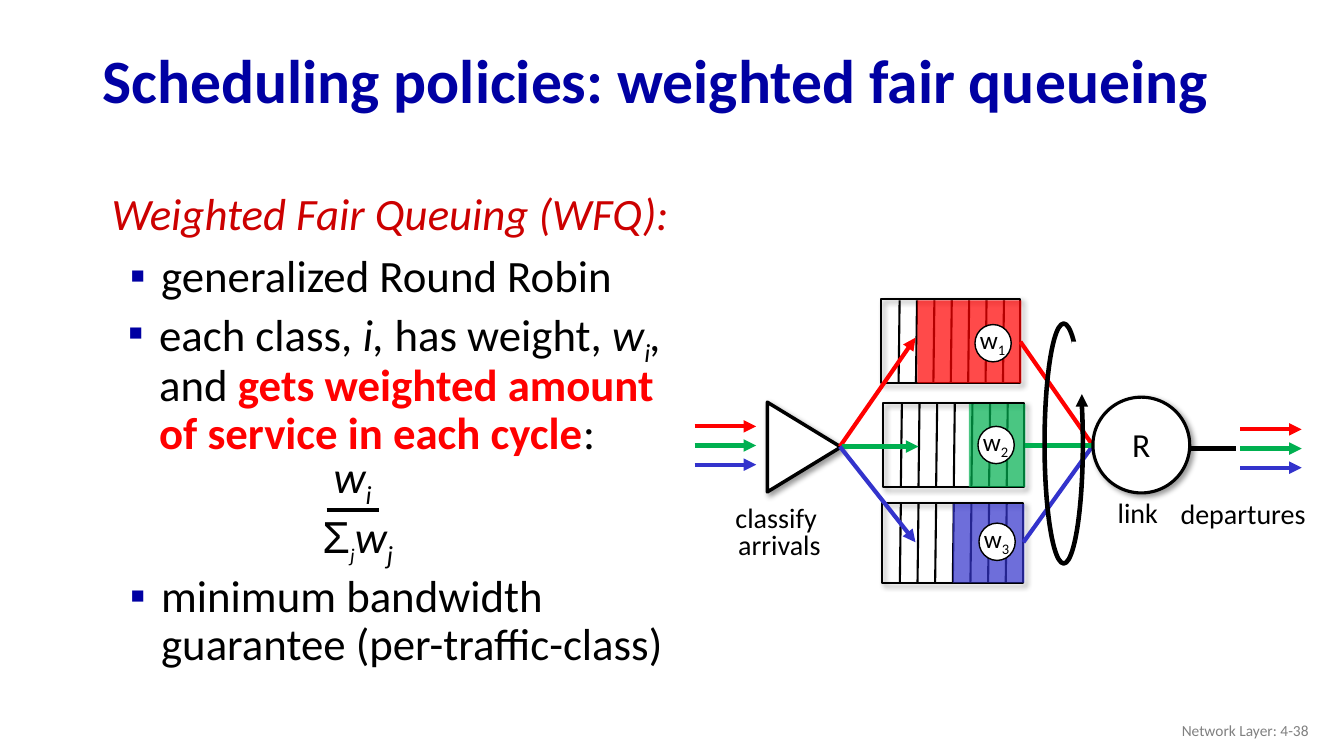
import pptx
import pptx.util
import pptx.dml.color
import pptx.enum.shapes
import pptx.enum.text
import pptx.oxml
import pptx.oxml.ns

Inches, Pt = pptx.util.Inches, pptx.util.Pt
KIND = pptx.enum.shapes.MSO_SHAPE
ALIGN = pptx.enum.text.PP_ALIGN
MID = pptx.enum.text.MSO_ANCHOR.MIDDLE

HUE = {
    "black": "000000", "white": "FFFFFF", "navy": "0000A3", "crimson": "CC0000",
    "gray": "808080", "red": "FF0000", "green": "00B050", "blue": "3333CC",
}
ITAL = {"italic": True}
SUB = {"italic": True, "base": -25000}
LOUD = {"bold": True, "hue": "red"}

TITLE = [[("Scheduling policies: weighted fair queueing", {"bold": True, "hue": "navy"})]]
FOOT = [[("Network Layer: 4-38", {"hue": "gray"})]]
HEAD = [("Weighted Fair Queuing (WFQ):", {"italic": True, "hue": "crimson"})]
ROBIN = [("generalized Round Robin", {})]
SHARE = [
    ("each class, ", {}), ("i, ", ITAL), ("has weight, ", {}), ("w", ITAL), ("i", SUB),
    (", ", ITAL), ("and ", {}), ("gets weighted amount of service in each cycle", LOUD), (":", {}),
]
BAND = [("minimum bandwidth guarantee (per-traffic-class)", {})]
UPPER = [[("w", ITAL), ("i", SUB)]]
LOWER = [[("Σ", {"name": "Arial"}), ("j", {**SUB, "size": Pt(24)}), ("w", ITAL), ("j", SUB)]]

# hue, queue box, left edge of the filled part, weight circle, weight label
QUEUES = [
    ("red", (8.74, 2.97, 1.38, 0.83), 9.1, (9.67, 3.22), "1"),
    ("green", (8.76, 4, 1.4, 0.83), 9.61, (9.7, 4.23), "2"),
    ("blue", (8.75, 4.99, 1.4, 0.79), 9.45, (9.71, 5.19), "3"),
]
FLOWS = [(6.89, 4.23), (12.3, 4.26)]
FLOW_GAP, FLOW_LONG = 0.19, 0.61
ENTER = [
    ("red", (8.33, 4.43), (9.08, 3.35)),
    ("green", (8.35, 4.43), (9.11, 4.43)),
    ("blue", (8.33, 4.43), (9.08, 5.38)),
]
LEAVE = [("red", (10.12, 3.39)), ("blue", (10.15, 5.38)), ("green", (10.17, 4.42))]
LINK = (10.84, 4.42)
LABELS = [
    ((7.19, 4.98, 1.08, 0.65), ["classify ", "arrivals"], 20),
    ((11.6, 4.94, 1.46, 0.38), ["departures"], 20),
    ((10.98, 4.93, 0.61, 0.38), ["link"], 20),
    ((11.13, 4.23, 0.38, 0.43), ["R"], 24),
]

deck = pptx.Presentation()
deck.slide_width, deck.slide_height = Inches(13.33), Inches(7.5)
slide = deck.slides.add_slide(deck.slide_layouts[6])


def rgb(hue):
    return pptx.dml.color.RGBColor.from_string(HUE[hue])


def add_xml(parent, tag, inner="", attrs=""):
    space = pptx.oxml.ns.nsdecls("a")
    node = pptx.oxml.parse_xml(f"<a:{tag} {space} {attrs}>{inner}</a:{tag}>")
    parent.append(node)


def add_text(box, paras, size, align=None, lead=None, wrap=True, anchor=None, marks=()):
    """Write paragraphs of (words, format) runs; marks gives margin, indent, bullet."""
    frame = slide.shapes.add_textbox(*map(Inches, box)).text_frame
    frame.word_wrap = wrap
    if not wrap:
        frame.auto_size = pptx.enum.text.MSO_AUTO_SIZE.SHAPE_TO_FIT_TEXT
    if anchor is not None:
        frame.vertical_anchor = anchor
    for rank, runs in enumerate(paras):
        para = frame.add_paragraph() if rank else frame.paragraphs[0]
        if marks:
            left, indent, dot = marks[rank]
            props = para._p.get_or_add_pPr()
            props.set("marL", str(Inches(left)))
            props.set("indent", str(Inches(indent)))
            if dot:
                add_xml(props, "buClr", f'<a:srgbClr val="{HUE["navy"]}"/>')
                add_xml(props, "buFont", attrs='typeface="Arial"')
                add_xml(props, "buChar", attrs='char="▪"')
            if rank:
                para.space_before = Pt(10)
        para.alignment, para.line_spacing = align, lead
        for words, style in runs:
            run = para.add_run()
            run.text = words
            look = {"name": "Calibri", "size": Pt(size), "hue": "black", **style}
            run.font.color.rgb = rgb(look.pop("hue"))
            base = look.pop("base", None)
            if base:
                run._r.get_or_add_rPr().set("baseline", str(base))
            for key, val in look.items():
                setattr(run.font, key, val)


def add_line(start, end, hue="black", width=3, arrow=False):
    line = slide.shapes.add_connector(
        pptx.enum.shapes.MSO_CONNECTOR.STRAIGHT, *map(Inches, (*start, *end)))
    line.line.color.rgb = rgb(hue)
    line.line.width = Pt(width)
    if arrow:
        add_xml(line.line._get_or_add_ln(), "tailEnd", attrs='type="triangle"')
    add_xml(line._element.spPr, "effectLst")


def add_form(kind, box, fill=None, width=0, shade=False, alpha=None):
    form = slide.shapes.add_shape(kind, *map(Inches, box))
    form.shadow.inherit = False
    if fill:
        form.fill.solid()
        form.fill.fore_color.rgb = rgb(fill)
    else:
        form.fill.background()
    if width:
        form.line.color.rgb = rgb("black")
        form.line.width = Pt(width)
    else:
        form.line.fill.background()
    props = form._element.spPr
    if alpha:
        tint = props.find(pptx.oxml.ns.qn("a:solidFill"))[0]
        add_xml(tint, "alpha", attrs=f'val="{alpha * 1000}"')
    if shade:
        cast = '<a:srgbClr val="000000"><a:alpha val="40000"/></a:srgbClr>'
        add_xml(props.find(pptx.oxml.ns.qn("a:effectLst")), "outerShdw", cast,
                f'blurRad="{Pt(4)}" dist="{Pt(3)}" dir="2700000" algn="tl" rotWithShape="0"')
    return form


POINT = (0.64, -0.31, True)
add_text((0.86, 1.85, 6.08, 1.22), [HEAD, ROBIN], 32, lead=0.9,
         marks=[(0.39, -0.24, False), POINT])
add_text((0.92, 0.34, 11.5, 0.98), TITLE, 44, lead=0.9, anchor=MID)
add_line((11.76, 4.45), (12.26, 4.45))

for hue, box, edge, spot, num in QUEUES:
    left, top, wide, high = box
    add_form(KIND.RECTANGLE, box, width=1.5, shade=True)
    for slot in range(1, 8):
        x = left + slot * wide / 8
        add_line((x + 0.01, top + 0.01), (x, top + high), width=1.5)
    add_form(KIND.RECTANGLE, (edge, top + 0.01, left + wide + 0.01 - edge, high - 0.01),
             hue, alpha=71)

split = add_form(KIND.ISOSCELES_TRIANGLE, (7.53, 4.07, 0.89, 0.73), "white", 2.5, True)
split.rotation = 90
for x, y in FLOWS:
    for rank, hue in enumerate(("red", "green", "blue")):
        level = y + rank * FLOW_GAP
        add_line((x, level), (x + FLOW_LONG, level), hue, arrow=True)
for hue, start, end in ENTER:
    add_line(start, end, hue, arrow=True)
for hue, start in LEAVE:
    add_line(start, LINK, hue)

add_form(KIND.OVAL, (10.84, 3.94, 0.96, 0.95), "white", 2.25, True)
for box, lines, size in LABELS:
    add_text(box, [[(words, {})] for words in lines], size, ALIGN.CENTER, 0.8, False)

add_form(KIND.OVAL, (10.36, 3.21, 0.38, 2.38), width=3.25)
add_form(KIND.RECTANGLE, (10.63, 3.39, 0.21, 0.64), "white")
add_line((10.73, 4.19), (10.73, 3.91), arrow=True)
for hue, box, edge, (x, y), num in QUEUES:
    add_form(KIND.OVAL, (x, y, 0.36, 0.37), "white", 1)
    add_text((x - 0.05, y - 0.05, 0.47, 0.4),
             [[("w", {}), (num, {"base": -25000})]], 18, wrap=False)

add_text((3.21, 4.4, 0.59, 0.64), UPPER, 32, wrap=False)
add_text((3.1, 5, 0.93, 0.64), LOWER, 32, wrap=False)
add_line((3.24, 5.06), (3.76, 5.06))
add_text((0.86, 5.64, 6.08, 1.15), [BAND], 32, lead=0.9, marks=[POINT])
add_text((0.84, 3, 6.08, 1.55), [SHARE], 32, lead=0.9, marks=[POINT])
add_text((10.08, 7.05, 3, 0.4), FOOT, 11, ALIGN.RIGHT, anchor=MID)

deck.save("out.pptx")
